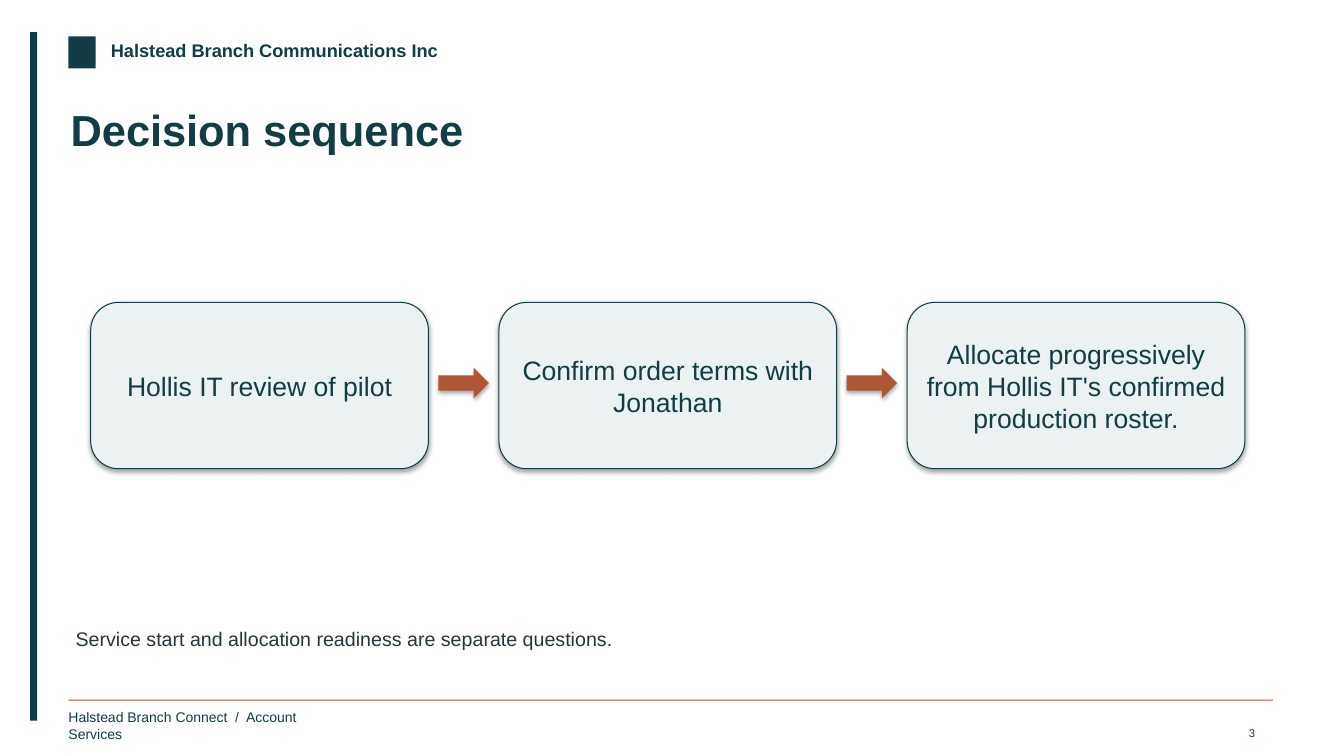
import pptx
import pptx.dml.color
import pptx.enum.shapes
import pptx.enum.text
import pptx.util

Pt = pptx.util.Pt
Shape = pptx.enum.shapes.MSO_SHAPE
Align = pptx.enum.text.PP_ALIGN
Anchor = pptx.enum.text.MSO_ANCHOR


def colour(code):
    return pptx.dml.color.RGBColor.from_string(code)


class SlideBuilder:
    font = "Arial"
    dark = "133D45"
    accent = "AF5636"
    pale = "EBF2F1"
    ink = "26353B"

    def __init__(self, page):
        self.page = page

    def set_text(self, frame, text, size, code, bold=False, align=Align.LEFT):
        frame.text = text
        para = frame.paragraphs[0]
        para.alignment = align
        para.font.name = self.font
        para.font.size = Pt(size)
        para.font.bold = bold
        para.font.color.rgb = colour(code)

    def clear_margins(self, frame):
        frame.margin_left = frame.margin_right = 0
        frame.margin_top = frame.margin_bottom = 0

    def title(self, text, left, top, width, height):
        box = self.page.shapes.title
        box.left, box.top = Pt(left), Pt(top)
        box.width, box.height = Pt(width), Pt(height)
        frame = box.text_frame
        self.clear_margins(frame)
        frame.vertical_anchor = Anchor.TOP
        frame.auto_size = pptx.enum.text.MSO_AUTO_SIZE.NONE
        self.set_text(frame, text, 31, self.dark, bold=True)

    def label(self, text, left, top, width, height, size, code,
              bold=False, align=Align.LEFT, wrap=False, margins=False):
        box = self.page.shapes.add_textbox(Pt(left), Pt(top), Pt(width), Pt(height))
        frame = box.text_frame
        frame.word_wrap = wrap
        if not margins:
            self.clear_margins(frame)
        self.set_text(frame, text, size, code, bold, align)

    def shape(self, kind, left, top, width, height, fill, shadow=False):
        box = self.page.shapes.add_shape(kind, Pt(left), Pt(top), Pt(width), Pt(height))
        box.fill.solid()
        box.fill.fore_color.rgb = colour(fill)
        box.line.fill.background()
        if not shadow:
            box.shadow.inherit = False
        return box

    def card(self, text, left, top, width, height):
        box = self.shape(Shape.ROUNDED_RECTANGLE, left, top, width, height,
                         self.pale, shadow=True)
        box.line.color.rgb = colour(self.dark)
        box.line.width = Pt(0.75)
        box.text_frame.word_wrap = True
        box.text_frame.vertical_anchor = Anchor.MIDDLE
        self.set_text(box.text_frame, text, 19, self.dark, align=Align.CENTER)


def main():
    deck = pptx.Presentation()
    deck.slide_width, deck.slide_height = Pt(960), Pt(540)
    slide = SlideBuilder(deck.slides.add_slide(deck.slide_layouts[5]))

    # Side bar and header
    slide.shape(Shape.RECTANGLE, 21.6, 23.04, 5.04, 491.76, slide.dark)
    slide.shape(Shape.RECTANGLE, 48.96, 25.92, 19.44, 23.04, slide.dark)
    slide.label("Halstead Branch Communications Inc", 79.2, 28.08, 255.6, 19.44,
                13, slide.dark, bold=True)

    # Title
    slide.title("Decision sequence", 50.4, 73.44, 856.8, 61.92)

    # Steps joined by arrows
    steps = [
        "Hollis IT review of pilot",
        "Confirm order terms with Jonathan",
        "Allocate progressively from Hollis IT's confirmed production roster.",
    ]
    first_left, pitch, card_width = 64.8, 291.6, 241.2
    for index, step in enumerate(steps):
        left = first_left + index * pitch
        if index:
            slide.shape(Shape.RIGHT_ARROW, left - 43.2, 262.8, 36, 21.6,
                        slide.accent, shadow=True)
        slide.card(step, left, 216, card_width, 118.8)

    # Closing remark
    slide.label("Service start and allocation readiness are separate questions.",
                54, 447.84, 851.04, 31.68, 14, slide.ink, wrap=True)

    # Footer
    slide.shape(Shape.RECTANGLE, 48.96, 499.68, 860.4, 0.72, slide.accent)
    slide.label("Halstead Branch Connect  /  Account Services",
                48.96, 506.16, 187.2, 16.56, 10, slide.dark)
    slide.label("3", 871.2, 515.52, 32.4, 14.4, 8, slide.dark,
                align=Align.RIGHT, margins=True)

    deck.save("out.pptx")


if __name__ == "__main__":
    main()
